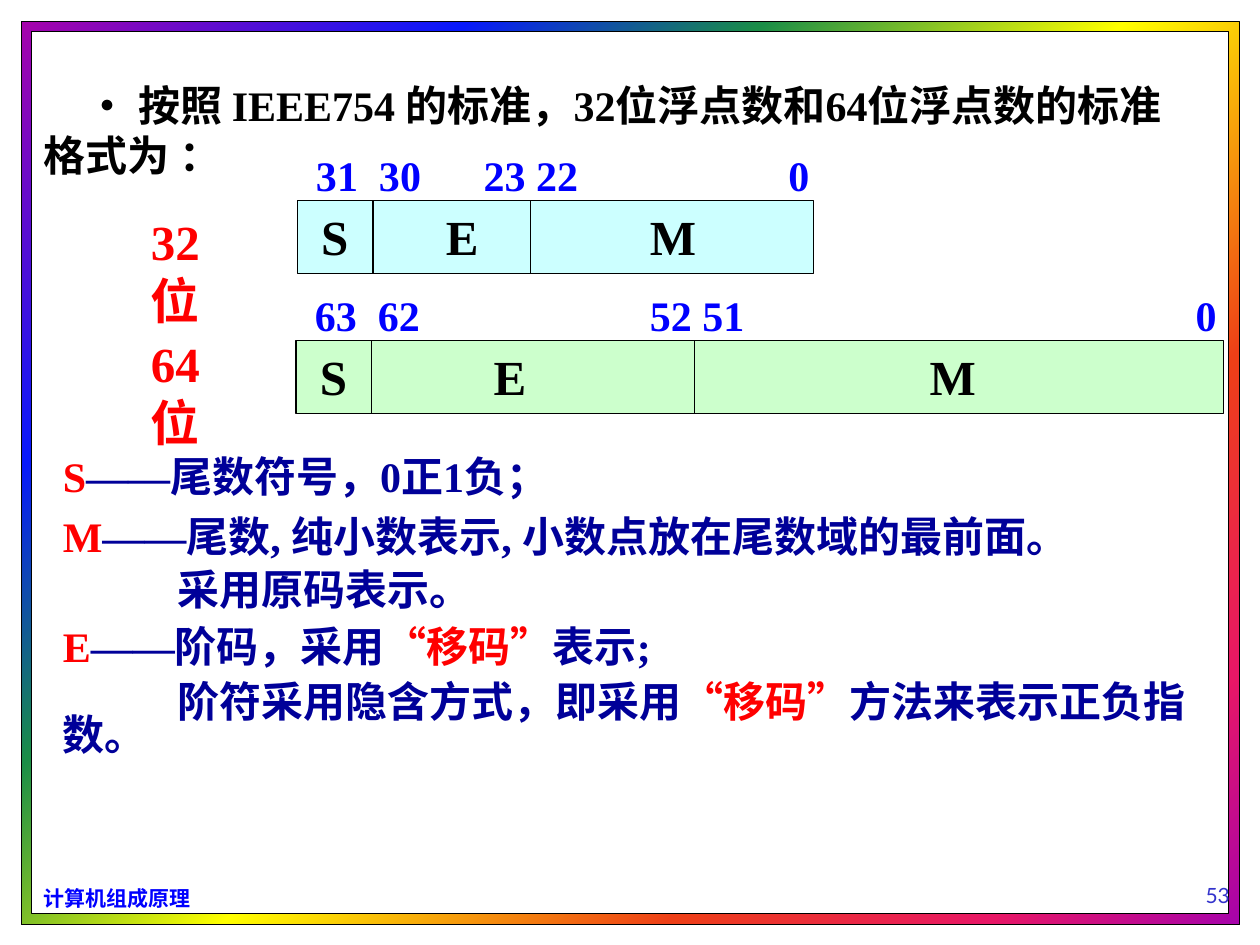
import dataclasses

import lxml.etree
import pptx
import pptx.dml.color
import pptx.enum.lang
import pptx.enum.shapes
import pptx.enum.text
import pptx.oxml.ns
import pptx.util


@dataclasses.dataclass(frozen=True)
class Theme:
    """Colours, fonts and type sizes of the slide."""
    black: str = "000000"
    white: str = "FFFFFF"
    red: str = "FF0000"
    blue: str = "0000FF"
    navy: str = "000099"
    page: str = "3333CC"
    aqua: str = "CCFFFF"
    mint: str = "CCFFCC"
    serif: str = "Times New Roman"
    hans: str = "Noto Sans CJK SC"
    sans: str = "Lato"
    big: int = 28
    body: int = 24
    small: int = 12
    thin: float = 0.75
    bow: tuple = ((0, "A603AB"), (21, "0819FB"), (35, "1A8D48"), (52, "FFFF00"),
                  (73, "EE3F17"), (88, "E81766"), (100, "A603AB"))


THEME = Theme()
WIDTH, HEIGHT = pptx.util.Inches(10), pptx.util.Inches(7.5)
COLS = 100
NOTES = (
    (0, 1, ("S", "——尾数符号，0正1负；")),
    (0, 0.75, ("M", "——尾数, 纯小数表示, 小数点放在尾数域的最前面。")),
    (9.1, 0.6, ("", "采用原码表示。")),
    (0, 0.75, ("E", "——阶码，采用", "“移码”", "表示;")),
    (9.1, 0.65, ("", "阶符采用隐含方式，即采用", "“移码”", "方法来表示正负指数。")),
)


def grid(*cells):
    """Turn counts of square grid cells into lengths."""
    return [round(WIDTH * cell / COLS) for cell in cells]


def tint(code):
    """Give the colour for a hex code."""
    return pptx.dml.color.RGBColor.from_string(code)


def child(node, tag, **attrs):
    """Add a drawing element to a node."""
    return lxml.etree.SubElement(node, pptx.oxml.ns.qn(tag), attrs)


def style(run, size, code, face=THEME.serif, bold=True):
    """Set the type of one run."""
    font = run.font
    font.size, font.name, font.bold = pptx.util.Pt(size), face, bold
    font.color.rgb = tint(code)
    font.language_id = pptx.enum.lang.MSO_LANGUAGE_ID.SIMPLIFIED_CHINESE
    if face == THEME.hans:
        child(font._element, "a:ea", typeface=face)


def inset(para, first):
    """Set the first-line indent of a paragraph."""
    props = para._p.get_or_add_pPr()
    props.set("marL", "0")
    props.set("indent", str(grid(first)[0]))


def label(shapes, place, text, size, code, face=THEME.serif, bold=True,
          first=0, wrap=True):
    """Add a text box with one styled paragraph."""
    frame = shapes.add_textbox(*grid(*place)).text_frame
    frame.word_wrap = wrap
    frame.text = text
    para = frame.paragraphs[0]
    para.alignment = pptx.enum.text.PP_ALIGN.LEFT
    inset(para, first)
    for run in para.runs:
        style(run, size, code, face, bold)
    return frame


def panel(shapes, place, code):
    """Add a filled rectangle with a thin black edge."""
    shape = shapes.add_shape(pptx.enum.shapes.MSO_SHAPE.RECTANGLE, *grid(*place))
    shape.shadow.inherit = False
    shape.fill.solid()
    shape.fill.fore_color.rgb = tint(code)
    shape.line.color.rgb = tint(THEME.black)
    shape.line.width = pptx.util.Pt(THEME.thin)
    return shape


def border(shapes):
    """Draw the rainbow frame around the page."""
    frame = panel(shapes, (1.7, 1.7, 96.7, 71.7), THEME.white)
    frame.fill.gradient()
    frame.fill.gradient_angle = 315
    stops = frame._element.spPr.find(".//" + pptx.oxml.ns.qn("a:gsLst"))
    for stop in list(stops):
        stops.remove(stop)
    for share, code in THEME.bow:
        stop = child(stops, "a:gs", pos=str(share * 1000))
        child(stop, "a:srgbClr", val=code)
    panel(shapes, (2.5, 2.5, 95, 70), THEME.white)


def rule(shapes, left, top, tall):
    """Draw an upright divider."""
    x, y, end = grid(left, top, top + tall)
    line = shapes.add_connector(pptx.enum.shapes.MSO_CONNECTOR.STRAIGHT, x, y, x, end)
    line.line.color.rgb = tint(THEME.black)
    line.line.width = pptx.util.Pt(THEME.thin)
    child(line._element.spPr, "a:effectLst")


def layout(shapes, name, head, place, code, cuts, fields, bits):
    """Draw one number format with its fields, bit marks and name."""
    group = shapes.add_group_shape().shapes
    left, top, wide = place
    tall = 5.8
    panel(group, (left, top, wide, tall), code)
    for cut in cuts:
        rule(group, left + cut, top, tall)
    for text, spot in zip("SEM", fields):
        label(group, (left + spot, top, 6, tall), text, THEME.big, THEME.black,
              wrap=False)
    for text, spot in bits:
        span = 2 + 1.7 * len(text)
        label(group, (left + spot, top - 4.5, span, 5), text, THEME.body, THEME.blue,
              wrap=False)
    label(group, (11, head, 9, 5.7), name, THEME.big, THEME.red)


def notes(shapes):
    """Write the meaning of each field, with key words in red."""
    frame = shapes.add_textbox(*grid(4, 35.3, 94.2, 24)).text_frame
    frame.word_wrap = True
    for row, (first, space, parts) in enumerate(NOTES):
        para = frame.add_paragraph() if row else frame.paragraphs[0]
        inset(para, first)
        para.line_spacing = space
        if row:
            para.space_before = pptx.util.Pt(THEME.body / 2)
        for spot, part in enumerate(parts):
            if part:
                run = para.add_run()
                run.text = part
                style(run, THEME.body, THEME.navy if spot % 2 else THEME.red)


def footer(shapes):
    """Write the course name and page number."""
    label(shapes, (2.5, 69.8, 13.7, 3), "计算机组成原理", THEME.small, THEME.blue,
          THEME.hans, wrap=False)
    frame = label(shapes, (93.3, 67.5, 6.7, 5), "53", THEME.small, THEME.page,
                  THEME.sans, bold=False)
    frame.vertical_anchor = pptx.enum.text.MSO_ANCHOR.BOTTOM
    frame.paragraphs[0].alignment = pptx.enum.text.PP_ALIGN.CENTER


def main():
    """Build and save the slide."""
    deck = pptx.Presentation()
    deck.slide_width, deck.slide_height = WIDTH, HEIGHT
    shapes = deck.slides.add_slide(deck.slide_layouts[6]).shapes
    border(shapes)
    footer(shapes)
    notes(shapes)
    label(shapes, (2.5, 5.8, 93.6, 9),
          "• 按照 IEEE754 的标准，32位浮点数和64位浮点数的标准格式为 ：",
          THEME.body, THEME.black, first=3.4)
    layout(shapes, "32位", 16.3, (23.6, 15.9, 41), THEME.aqua, (6, 18.5),
           (0.9, 10.8, 27), (("31", 0.5), ("30", 5.5), ("23 22", 13.8), ("0", 38)))
    layout(shapes, "64位", 26, (23.5, 27, 73.6), THEME.mint, (6, 31.6),
           (0.9, 14.7, 49.3), (("63", 0.5), ("62", 5.5), ("52 51", 27.1), ("0", 70.4)))
    deck.save("out.pptx")


if __name__ == "__main__":
    main()
